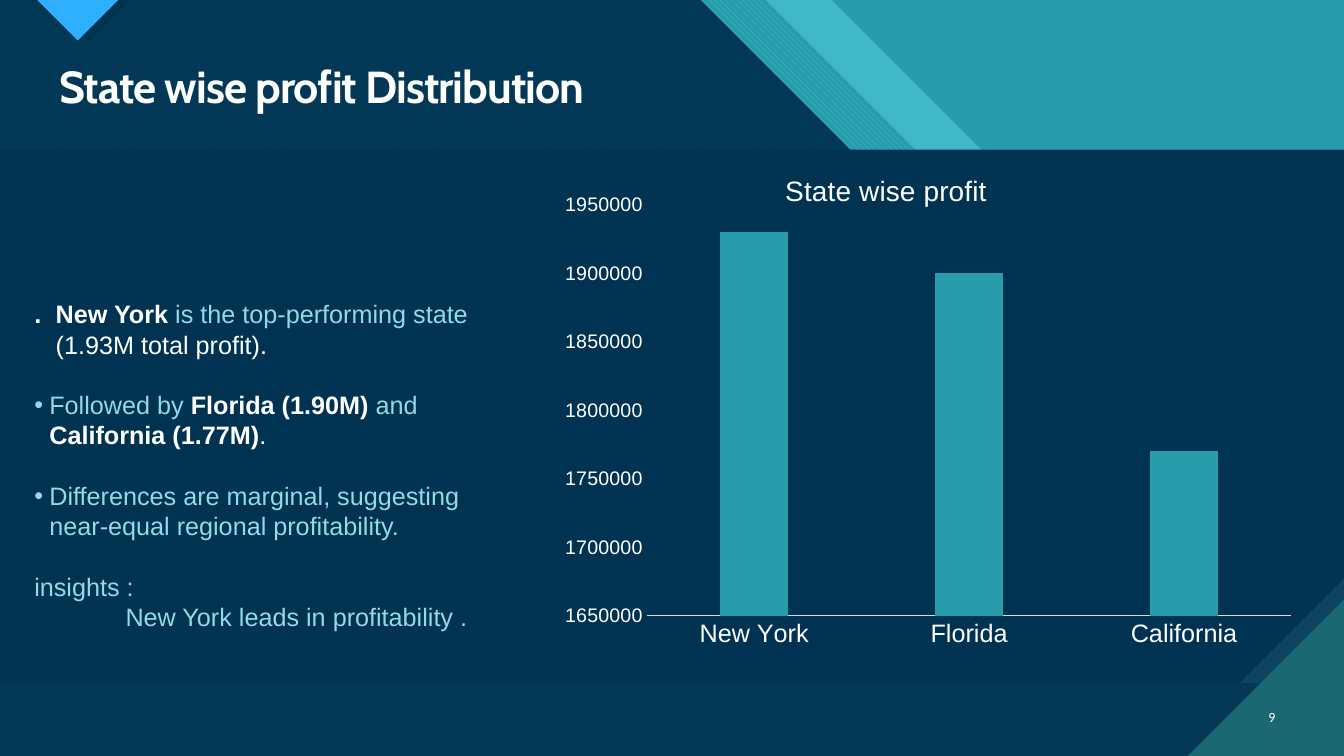
import pptx
import pptx.chart.data
import pptx.dml.color
import pptx.enum.chart
import pptx.enum.dml
import pptx.enum.text
import pptx.oxml
import pptx.oxml.ns
import pptx.util

Cm, Pt = pptx.util.Cm, pptx.util.Pt
RGBColor = pptx.dml.color.RGBColor
PATTERN = pptx.enum.dml.MSO_PATTERN
ANCHOR = pptx.enum.text.MSO_ANCHOR
ALIGN = pptx.enum.text.PP_ALIGN
qn = pptx.oxml.ns.qn

NAVY = RGBColor(0x00, 0x33, 0x52)
SLATE = RGBColor(0x0C, 0x43, 0x60)
TEAL = RGBColor(0x29, 0x9C, 0xAB)
DEEP_TEAL = RGBColor(0x1B, 0x68, 0x72)
AQUA = RGBColor(0x47, 0xC3, 0xD3)
PALE = RGBColor(0x91, 0xDB, 0xE5)
SKY = RGBColor(0x2F, 0xAF, 0xFF)
GREY = RGBColor(0xD9, 0xD9, 0xD9)
WHITE = RGBColor(0xFF, 0xFF, 0xFF)

# Content
TITLE = "State wise profit Distribution"
PAGE = "9"
CHART_TITLE = "State wise profit"
PROFITS = {"New York": 1930000, "Florida": 1900000, "California": 1770000}
# (bullet, left margin cm, first-line indent cm, blank line before, runs: text, colour, bold)
NOTES = [
    (None, 0.54, -0.54, False, [(".\tNew York ", WHITE, True),
                                ("is the top-performing state ", PALE, False),
                                ("(1.93M total profit).", WHITE, False)]),
    ("•", 0.38, -0.38, True, [("Followed by ", PALE, False),
                              ("Florida (1.90M) ", WHITE, True),
                              ("and ", PALE, False),
                              ("California (1.77M)", WHITE, True),
                              (".", WHITE, False)]),
    ("•", 0.38, -0.38, True, [("Differences are marginal, suggesting "
                               "near-equal regional profitability.", PALE, False)]),
    (None, 0, 0, True, [("insights :", PALE, False)]),
    (None, 2.3, 0, False, [("New York leads in profitability .", PALE, False)]),
]

# Layout in cm
W, H = 33.87, 19.05
BODY_TOP, BODY_BOTTOM = 3.77, 17.22
SNIP = 2.65
CORNER = 3.92
BEND = 7.54  # depth at which the diagonal bands turn level


def place(sp, left, top, width, height):
    sp.left, sp.top, sp.width, sp.height = Cm(left), Cm(top), Cm(width), Cm(height)


def polygon(slide, points, color, back=None, pattern=None, alpha=None):
    pts = [(Cm(x), Cm(y)) for x, y in points]
    builder = slide.shapes.build_freeform(*pts[0])
    builder.add_line_segments(pts[1:], close=True)
    sp = builder.convert_to_shape()
    sp.shadow.inherit = False
    sp.line.fill.background()
    if pattern is None:
        sp.fill.solid()
    else:
        sp.fill.patterned()
        sp.fill.pattern = pattern
        sp.fill.back_color.rgb = back
    sp.fill.fore_color.rgb = color
    if alpha:
        clr = sp.fill._xPr.find(".//" + qn("a:srgbClr"))
        pptx.oxml.ns  # namespace map used by qn
        clr.append(pptx.oxml.parse_xml(
            f'<a:alpha xmlns:a="http://schemas.openxmlformats.org/drawingml/2006/main" val="{alpha * 1000}"/>'))


def band(edge):
    return [(0, 0), (edge, 0), (edge + BEND, BEND), (W, BEND), (W, H), (0, H)]


def body_panel(snip):
    return [(0, BODY_TOP), (W, BODY_TOP), (W, BODY_BOTTOM - snip),
            (W - snip, BODY_BOTTOM), (0, BODY_BOTTOM)]


def pointer(left, depth):
    return [(left, 0), (left + 2 * depth, 0), (left + depth, depth)]


def add_backdrop(slide):
    fill = slide.background.fill
    fill.solid()
    fill.fore_color.rgb = TEAL
    polygon(slide, band(20.96), AQUA, alpha=74)
    polygon(slide, band(19.3), AQUA, TEAL, PATTERN.WIDE_DOWNWARD_DIAGONAL)
    polygon(slide, band(17.65), AQUA, DEEP_TEAL, PATTERN.WIDE_UPWARD_DIAGONAL)
    polygon(slide, band(17.65), NAVY, alpha=90)
    polygon(slide, pointer(1.22, 1.05), NAVY)
    polygon(slide, pointer(0.94, 1.02), SKY, DEEP_TEAL, PATTERN.DARK_HORIZONTAL)
    polygon(slide, body_panel(0), SLATE, DEEP_TEAL, PATTERN.DARK_VERTICAL)
    polygon(slide, body_panel(SNIP), NAVY)
    polygon(slide, [(W - CORNER, H), (W, H), (W, H - CORNER)],
            DEEP_TEAL, AQUA, PATTERN.DARK_HORIZONTAL)


def style(font, size, name, color, bold=None):
    font.size, font.name, font.bold = Pt(size), name, bold
    font.color.rgb = color


def add_title(slide):
    sp = slide.shapes.title
    place(sp, 1.24, 1.5, 31.14, 1.5)
    tf = sp.text_frame
    tf.text = TITLE
    tf.vertical_anchor = ANCHOR.MIDDLE
    p = tf.paragraphs[0]
    p.alignment, p.line_spacing = ALIGN.LEFT, 0.9
    style(p.font, 32, "Cabin", WHITE, True)
    p.runs[0].font._element.set("spc", "-70")


def add_notes(slide):
    sp = slide.placeholders[1]
    place(sp, 0.61, 7.4, 11.84, 9)
    tf = sp.text_frame
    tf.auto_size = pptx.enum.text.MSO_AUTO_SIZE.NONE
    for i, (bullet, margin, indent, gap, runs) in enumerate(NOTES):
        p = tf.add_paragraph() if i else tf.paragraphs[0]
        p.space_before = Pt(21.6 if gap else 0)
        p.font.size, p.font.name = Pt(18), "Arial"
        for text, color, bold in runs:
            r = p.add_run()
            r.text = text
            r.font.color.rgb, r.font.bold = color, bold
        pPr = p._p.get_or_add_pPr()
        pPr.set("marL", str(Cm(margin)))
        pPr.set("indent", str(Cm(indent)))
        mark = f'buChar char="{bullet}"' if bullet else "buNone"
        pPr.insert_element_before(pptx.oxml.parse_xml(
            f'<a:{mark} xmlns:a="http://schemas.openxmlformats.org/drawingml/2006/main"/>'),
            "a:tabLst", "a:defRPr", "a:extLst")


def fix_layout(parent, before, x, y, w=None, h=None):
    """Put a manual layout into a chart part, as fractions of the chart."""
    for old in parent.findall(qn("c:layout")):
        parent.remove(old)
    target = '<c:layoutTarget val="inner"/>' if w else ""
    modes = '<c:xMode val="edge"/><c:yMode val="edge"/>'
    values = "".join(f'<c:{k} val="{v}"/>' for k, v in zip("xywh", (x, y, w, h)) if v)
    layout = pptx.oxml.parse_xml(
        '<c:layout xmlns:c="http://schemas.openxmlformats.org/drawingml/2006/chart">'
        f"<c:manualLayout>{target}{modes}{values}</c:manualLayout></c:layout>")
    parent.find(qn(before)).addprevious(layout)


def add_profit_chart(slide):
    data = pptx.chart.data.CategoryChartData()
    data.categories = list(PROFITS)
    data.add_series("Series 1", list(PROFITS.values()))
    chart = slide.shapes.add_chart(
        pptx.enum.chart.XL_CHART_TYPE.COLUMN_CLUSTERED,
        Cm(13.87), Cm(4.11), Cm(18.69), Cm(13.11), data).chart
    style(chart.font, 10, "Arial", WHITE)
    chart.has_legend = False
    chart.has_title = True
    tf = chart.chart_title.text_frame
    tf.text = CHART_TITLE
    style(tf.paragraphs[0].font, 20, "Arial", WHITE, False)
    chart.chart_title.include_in_layout = False
    fix_layout(chart.chart_title._element, "c:overlay", 0.31, 0.01)

    plot = chart.plots[0]
    plot.gap_width, plot.overlap, plot.vary_by_categories = 219, -27, False
    fix_layout(plot._element.getparent(), "c:barChart", 0.13, 0.08, 0.87, 0.79)
    fill = plot.series[0].format.fill
    fill.solid()
    fill.fore_color.rgb = TEAL

    for axis, size in ((chart.category_axis, 18), (chart.value_axis, 14)):
        axis.major_tick_mark = pptx.enum.chart.XL_TICK_MARK.NONE
        axis.has_major_gridlines = False
        style(axis.tick_labels.font, size, "Arial", WHITE)
    line = chart.category_axis.format.line
    line.color.rgb, line.width = GREY, Pt(0.75)
    axis = chart.value_axis
    axis.format.line.fill.background()
    axis.minimum_scale, axis.maximum_scale, axis.major_unit = 1650000, 1950000, 50000


def add_page_number(slide):
    tf = slide.shapes.add_textbox(Cm(31.27), Cm(17.55), Cm(1.12), Cm(1.02)).text_frame
    tf.word_wrap = True
    tf.vertical_anchor = ANCHOR.MIDDLE
    tf.text = PAGE
    p = tf.paragraphs[0]
    p.alignment = ALIGN.RIGHT
    style(p.font, 10, "Calibri", WHITE)


def main():
    prs = pptx.Presentation()
    prs.slide_width, prs.slide_height = Cm(W), Cm(H)
    slide = prs.slides.add_slide(prs.slide_layouts[1])
    add_backdrop(slide)
    # Bring the title and list in front of the backdrop
    for sp in (slide.shapes.title, slide.placeholders[1]):
        slide.shapes._spTree.append(sp._element)
    add_title(slide)
    add_profit_chart(slide)
    add_notes(slide)
    add_page_number(slide)
    prs.save("out.pptx")


if __name__ == "__main__":
    main()
